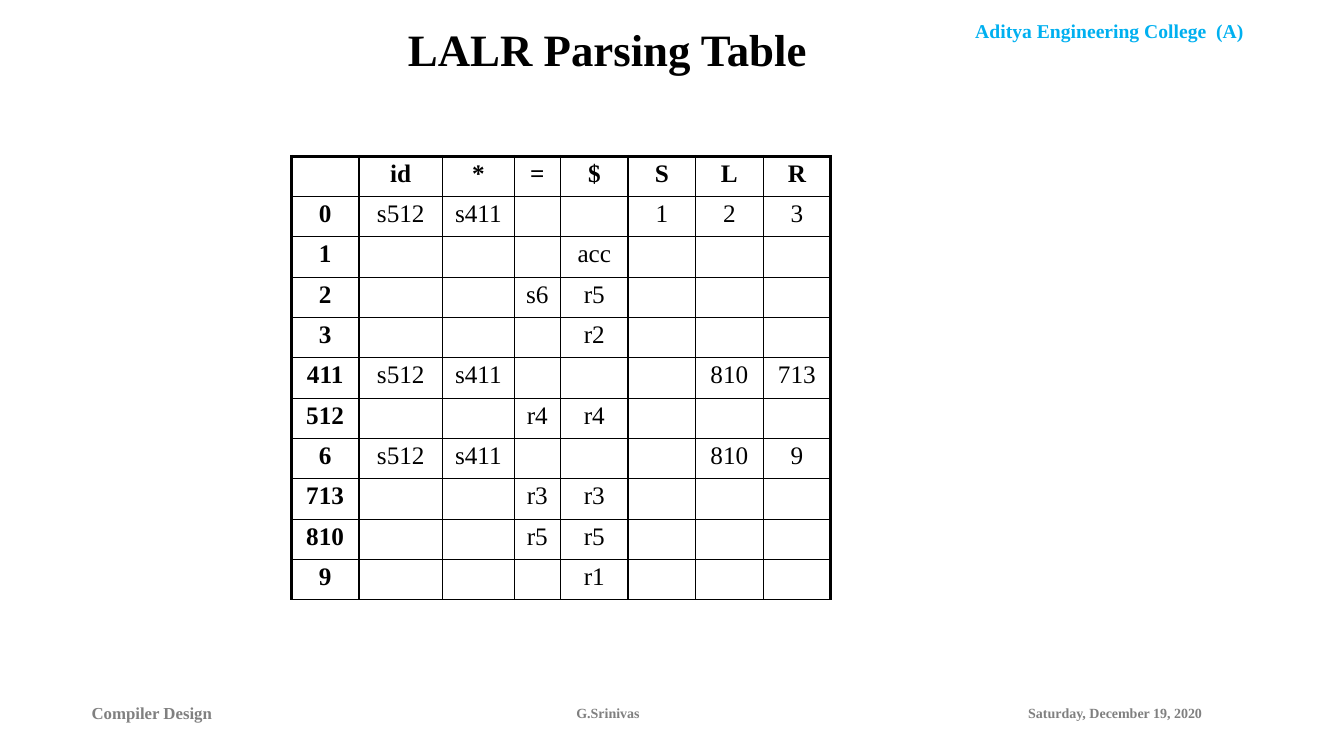
"""Builds the slide with the LALR parsing table."""
from dataclasses import dataclass

from lxml import etree
from pptx import Presentation
from pptx.dml.color import RGBColor
from pptx.enum.text import MSO_ANCHOR, MSO_AUTO_SIZE, PP_ALIGN
from pptx.oxml.ns import qn
from pptx.slide import Slide
from pptx.text.text import TextFrame
from pptx.util import Emu, Pt

LEFT, CENTER = PP_ALIGN.LEFT, PP_ALIGN.CENTER
TOP, MIDDLE = MSO_ANCHOR.TOP, MSO_ANCHOR.MIDDLE
FIXED = MSO_AUTO_SIZE.NONE

BLACK = RGBColor(0x00, 0x00, 0x00)
GRAY = RGBColor(0x80, 0x80, 0x80)
BLUE = RGBColor(0x00, 0xB0, 0xF0)

FONT = "Times New Roman"
SCALE = 9144
THIN, THICK = Pt(1), Pt(2.25)

WIDTHS = (67, 83, 71, 46, 67, 67, 67, 67)
HEIGHT = 40
ROWS = (
    ("", "id", "*", "=", "$", "S", "L", "R"),
    ("0", "s512", "s411", "", "", "1", "2", "3"),
    ("1", "", "", "", "acc", "", "", ""),
    ("2", "", "", "s6", "r5", "", "", ""),
    ("3", "", "", "", "r2", "", "", ""),
    ("411", "s512", "s411", "", "", "", "810", "713"),
    ("512", "", "", "r4", "r4", "", "", ""),
    ("6", "s512", "s411", "", "", "", "810", "9"),
    ("713", "", "", "r3", "r3", "", "", ""),
    ("810", "", "", "r5", "r5", "", "", ""),
    ("9", "", "", "", "r1", "", "", ""),
)


@dataclass(frozen=True)
class Label:
    text: str
    left: int
    top: int
    width: int
    height: int
    size: int
    color: RGBColor
    align: PP_ALIGN = LEFT
    anchor: MSO_ANCHOR = TOP


TITLE = Label("LALR Parsing Table", 90, -2, 1025, 100, 32, BLACK, CENTER, MIDDLE)
LABELS = (
    Label("Aditya Engineering College  (A)", 909, 14, 383, 34, 14, BLUE, CENTER),
    Label("Compiler Design", 81, 687, 211, 40, 12, GRAY, LEFT, MIDDLE),
    Label("Saturday, December 19, 2020", 1010, 694, 230, 40, 10, GRAY),
    Label("G.Srinivas", 453, 694, 300, 40, 10, GRAY, CENTER),
)


def px(count: int) -> Emu:
    return Emu(count * SCALE)


def style(frame: TextFrame, size: int, color: RGBColor, bold: bool, align: PP_ALIGN) -> None:
    line = frame.paragraphs[0]
    line.alignment = align
    for part in (line, *line.runs):
        font = part.font
        font.name, font.size, font.bold = FONT, Pt(size), bold
        font.color.rgb = color


def fill_label(shape, label: Label) -> None:
    shape.left, shape.top = px(label.left), px(label.top)
    shape.width, shape.height = px(label.width), px(label.height)
    frame = shape.text_frame
    frame.text = label.text
    frame.word_wrap = True
    frame.auto_size = FIXED
    frame.vertical_anchor = label.anchor
    style(frame, label.size, label.color, True, label.align)


def add_edge(cell, side: str, width: Emu) -> None:
    props = cell._tc.get_or_add_tcPr()
    edge = etree.SubElement(props, qn(f"a:ln{side}"), w=str(int(width)))
    solid = etree.SubElement(edge, qn("a:solidFill"))
    etree.SubElement(solid, qn("a:srgbClr"), val=str(BLACK))


def add_grid(slide: Slide) -> None:
    size = px(sum(WIDTHS)), px(HEIGHT * len(ROWS))
    table = slide.shapes.add_table(len(ROWS), len(WIDTHS), px(289), px(155), *size).table
    table.first_row = table.horz_banding = False
    for column, width in zip(table.columns, WIDTHS):
        column.width = px(width)
    for r, row in enumerate(ROWS):
        table.rows[r].height = px(HEIGHT)
        for c, text in enumerate(row):
            cell = table.cell(r, c)
            cell.text = text
            cell.margin_top, cell.margin_bottom = px(6), px(4)
            cell.vertical_anchor = TOP
            style(cell.text_frame, 18, BLACK, r == 0 or c == 0, CENTER)
            cell.text_frame.paragraphs[0].line_spacing = 0.9
            add_edge(cell, "L", THICK if c == 0 else THIN)
            add_edge(cell, "R", THICK if c == len(WIDTHS) - 1 else THIN)
            add_edge(cell, "T", THICK if r == 0 else THIN)
            add_edge(cell, "B", THIN)
            cell.fill.background()


def main() -> None:
    deck = Presentation()
    deck.slide_width, deck.slide_height = px(1333), px(750)
    slide = deck.slides.add_slide(deck.slide_layouts[5])
    fill_label(slide.shapes.title, TITLE)
    for label in LABELS:
        fill_label(slide.shapes.add_textbox(0, 0, 0, 0), label)
    add_grid(slide)
    deck.save("out.pptx")


if __name__ == "__main__":
    main()
